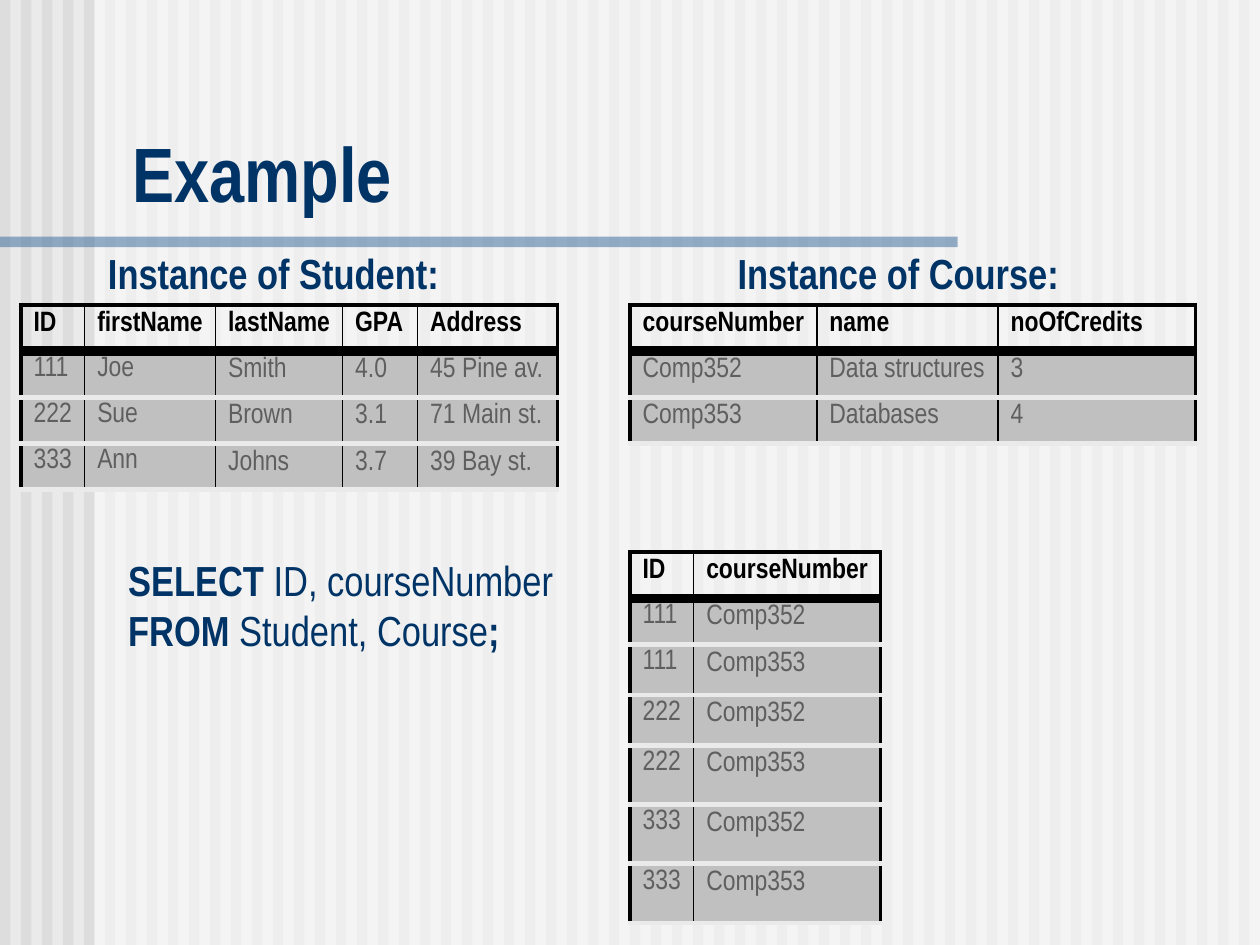
from lxml.etree import SubElement
from pptx import Presentation
from pptx.dml.color import RGBColor
from pptx.enum.shapes import MSO_SHAPE
from pptx.enum.text import MSO_ANCHOR, MSO_AUTO_SIZE, PP_ALIGN
from pptx.oxml.ns import qn
from pptx.util import Pt

FONT = "Arial Narrow"
NAVY, BLACK, GRAY, SILVER, PALE = "003366", "000000", "5F5F5F", "C0C0C0", "EAEAEA"
SLIDE_WIDTH, SLIDE_HEIGHT = 720, 540
STRIPE_WIDTH, STRIPE_STEP = 6, 12
ID_WIDTH = 36.4
CELL_MARGIN_RIGHT = 6  # leaves three-digit IDs on one line

TITLE = ("Example", (68.4, 68, 643, 60))
HEADINGS = [
    ("Instance of Course:", (414, 138.2, 198.7, 36)),
    ("Instance of Student:", (54.4, 138.2, 203.8, 36)),
]
QUERY = [
    [("SELECT ", True), ("ID, courseNumber", False)],
    [("FROM ", True), ("Student, Course", False), (";", True)],
]
QUERY_PLACE = (66.2, 313.2, 264.2, 64.8)

# "tight" counts the leading columns whose body text has 90 % line spacing.
TABLES = [
    {
        "at": (12, 174.2), "tight": 2,
        "columns": [ID_WIDTH, 74.8, 72.6, 42.9, 80],
        "heights": [26.4] * 4,
        "rows": [
            ["ID", "firstName", "lastName", "GPA", "Address"],
            ["111", "Joe", "Smith", "4.0", "45 Pine av."],
            ["222", "Sue", "Brown", "3.1", "71 Main st."],
            ["333", "Ann", "Johns", "3.7", "39 Bay st."],
        ],
    },
    {
        "at": (360, 174.2), "tight": 0,
        "columns": [106.8, 103.5, 113],
        "heights": [26.4] * 3,
        "rows": [
            ["courseNumber", "name", "noOfCredits"],
            ["Comp352", "Data structures", "3"],
            ["Comp353", "Databases", "4"],
        ],
    },
    {
        "at": (360, 315.4), "tight": 1,
        "columns": [ID_WIDTH, 106.8],
        "heights": [26.4] * 2 + [28.8] * 2 + [33.9] * 3,
        "rows": [["ID", "courseNumber"]] + [
            [student, course]
            for student in ("111", "222", "333")
            for course in ("Comp352", "Comp353")
        ],
    },
]


def color(value):
    return RGBColor.from_string(value)


def points(lengths):
    return [Pt(length) for length in lengths]


def add_text(para, text, size=24, ink=NAVY, bold=True):
    span = para.add_run()
    span.text = text
    span.font.name = FONT
    span.font.size = Pt(size)
    span.font.bold = bold
    span.font.color.rgb = color(ink)


def add_bar(shapes, place, fill, alpha=None):
    """Add a plain rectangle; alpha is its opacity in percent."""
    bar = shapes.add_shape(MSO_SHAPE.RECTANGLE, *points(place))
    bar.shadow.inherit = False
    bar.line.fill.background()
    bar.fill.solid()
    bar.fill.fore_color.rgb = color(fill)
    if alpha is not None:
        shade = bar.fill._xPr.find(qn("a:solidFill"))[0]
        SubElement(shade, qn("a:alpha"), val=str(alpha * 1000))


def add_background(slide):
    slide.background.fill.solid()
    slide.background.fill.fore_color.rgb = color(PALE)
    shapes = slide.shapes.add_group_shape().shapes
    for left in range(0, SLIDE_WIDTH, STRIPE_STEP):
        add_bar(shapes, (left, 0, STRIPE_WIDTH, SLIDE_HEIGHT), "DDDDDD")
    add_bar(shapes, (54, 0, SLIDE_WIDTH - 54, SLIDE_HEIGHT), "FFFFFF", 50)
    add_bar(shapes, (0, 135.2, 547.2, 6), "336699", 50)


def add_box(slide, place, wrap):
    box = slide.shapes.add_textbox(*points(place))
    box.text_frame.word_wrap = wrap
    box.text_frame.auto_size = MSO_AUTO_SIZE.SHAPE_TO_FIT_TEXT
    return box.text_frame


def set_borders(cell, borders):
    """Draw the left, right, top and bottom borders, in that order."""
    properties = cell._tc.get_or_add_tcPr()
    for side, (ink, width) in zip("LRTB", borders):
        line = SubElement(properties, qn(f"a:ln{side}"), w=str(Pt(width)))
        fill = SubElement(line, qn("a:solidFill"))
        SubElement(fill, qn("a:srgbClr"), val=ink)


def add_instance(slide, data):
    rows, columns, heights = data["rows"], data["columns"], data["heights"]
    place = points((*data["at"], sum(columns), sum(heights)))
    table = slide.shapes.add_table(len(rows), len(columns), *place).table
    table.horz_banding = False
    for column, width in zip(table.columns, columns):
        column.width = Pt(width)
    for row, height in zip(table.rows, heights):
        row.height = Pt(height)

    outer, inner = (BLACK, 2.25), (BLACK, 1)
    header_rule, body_rule = (BLACK, 6), (PALE, 3)
    rules = [outer, header_rule] + [body_rule] * (len(rows) - 1)
    sides = [outer] + [inner] * (len(columns) - 1) + [outer]
    for r, values in enumerate(rows):
        for c, value in enumerate(values):
            cell = table.cell(r, c)
            cell.margin_right = Pt(CELL_MARGIN_RIGHT)
            set_borders(cell, (sides[c], sides[c + 1], rules[r], rules[r + 1]))
            para = cell.text_frame.paragraphs[0]
            if r == 0:
                cell.fill.background()
                add_text(para, value, size=16, ink=BLACK)
                continue
            cell.fill.solid()
            cell.fill.fore_color.rgb = color(SILVER)
            add_text(para, value, size=16, ink=GRAY, bold=False)
            if c < data["tight"]:
                para.line_spacing = 0.9


def main():
    deck = Presentation()
    deck.slide_width, deck.slide_height = points((SLIDE_WIDTH, SLIDE_HEIGHT))
    slide = deck.slides.add_slide(deck.slide_layouts[5])
    add_background(slide)

    title = slide.shapes.title
    slide.shapes._spTree.append(title._element)  # in front of the stripes
    text, place = TITLE
    title.left, title.top, title.width, title.height = points(place)
    title.text_frame.vertical_anchor = MSO_ANCHOR.BOTTOM
    title.text_frame.auto_size = MSO_AUTO_SIZE.SHAPE_TO_FIT_TEXT
    para = title.text_frame.paragraphs[0]
    para.alignment = PP_ALIGN.LEFT
    add_text(para, text, size=44)

    for text, place in HEADINGS:
        para = add_box(slide, place, wrap=False).paragraphs[0]
        para.alignment = PP_ALIGN.CENTER
        add_text(para, text)

    frame = add_box(slide, QUERY_PLACE, wrap=True)
    for number, spans in enumerate(QUERY):
        para = frame.add_paragraph() if number else frame.paragraphs[0]
        for text, bold in spans:
            add_text(para, text, bold=bold)

    for data in TABLES:
        add_instance(slide, data)
    deck.save("out.pptx")


if __name__ == "__main__":
    main()
